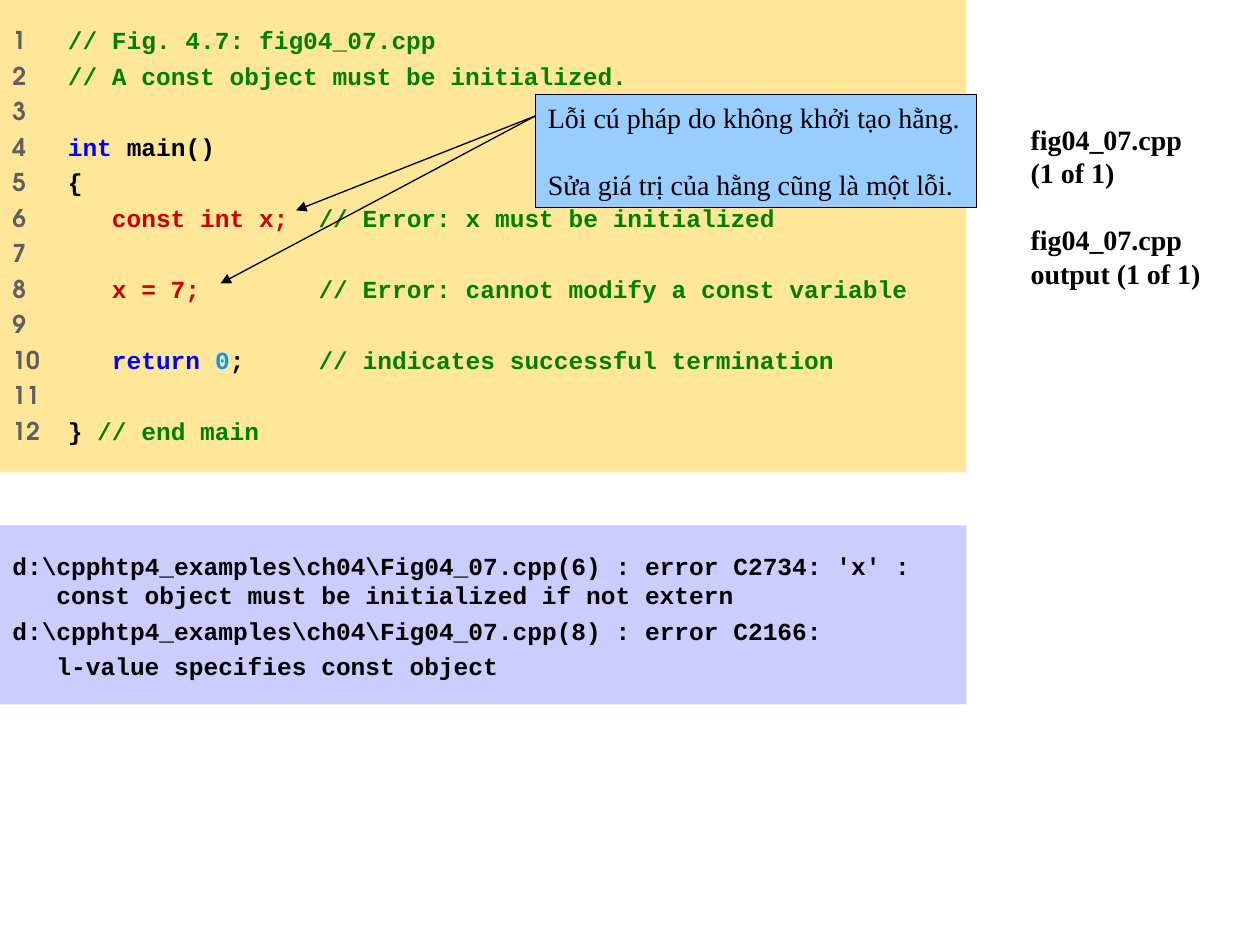
from lxml import etree
from pptx import Presentation
from pptx.dml.color import RGBColor
from pptx.enum.shapes import MSO_CONNECTOR, MSO_SHAPE
from pptx.enum.text import MSO_ANCHOR, MSO_AUTO_SIZE, PP_ALIGN
from pptx.oxml.ns import qn
from pptx.util import Inches, Pt

RECT = MSO_SHAPE.RECTANGLE
STRAIGHT = MSO_CONNECTOR.STRAIGHT
TOP = MSO_ANCHOR.TOP
LEFT = PP_ALIGN.LEFT
NO_AUTOFIT = MSO_AUTO_SIZE.NONE

MONO, SERIF, NUMBER_FONT = "Courier New", "Times New Roman", "TeX Gyre Adventor"
BLACK, GREY, GREEN = "000000", "5F5F5F", "008000"
BLUE, RED, CYAN = "0000FF", "CC0000", "0099FF"

PANEL_WIDTH = 7.67
CODE_TABS = (0.44, 0.79, 2.43)  # code, indented code, comment
OUTPUT_TABS = (0.35,)

# Coloured pieces of each numbered line
CODE = [
    [("\t// Fig. 4.7: fig04_07.cpp", GREEN)],
    [("\t// A const object must be initialized.", GREEN)],
    [],
    [("\tint", BLUE), (" main()", BLACK)],
    [("\t{", BLACK)],
    [("\t\tconst int x;", RED), ("\t// Error: x must be initialized", GREEN)],
    [],
    [("\t\tx = 7;", RED), ("\t// Error: cannot modify a const variable", GREEN)],
    [],
    [("\t\treturn ", BLUE), ("0", CYAN), (";", BLACK),
     ("\t// indicates successful termination", GREEN)],
    [],
    [("\t}", BLACK), (" // end main", GREEN)],
]
OUTPUT = [
    "d:\\cpphtp4_examples\\ch04\\Fig04_07.cpp(6) : error C2734: 'x' :\n"
    "\tconst object must be initialized if not extern",
    "d:\\cpphtp4_examples\\ch04\\Fig04_07.cpp(8) : error C2166:",
    "\tl-value specifies const object",
]
CALLOUT = ["Lỗi cú pháp do không khởi tạo hằng.",
           "Sửa giá trị của hằng cũng là một lỗi."]
HEADINGS = ["fig04_07.cpp\n(1 of 1)", "fig04_07.cpp\noutput (1 of 1)"]


def rgb(value):
    return RGBColor.from_string(value)


def add_text(p, text, font=MONO, size=14, color=BLACK, bold=True):
    """Append formatted text; each newline becomes a line break."""
    for i, line in enumerate(text.split("\n")):
        if i:
            p.add_line_break()
        r = p.add_run()
        r.text = line
        r.font.name = font
        r.font.size = Pt(size)
        r.font.bold = bold
        r.font.color.rgb = rgb(color)


class SlideBuilder:
    def __init__(self, prs):
        self.s = prs.slides.add_slide(prs.slide_layouts[5])

    def frame(self, sp, inset_y=0.05):
        tf = sp.text_frame
        tf.word_wrap = True
        tf.auto_size = NO_AUTOFIT
        tf.vertical_anchor = TOP
        tf.margin_left = tf.margin_right = Inches(0.1)
        tf.margin_top = tf.margin_bottom = Inches(inset_y)
        return tf

    def paragraph(self, tf, first, before=0, tabs=()):
        p = tf.paragraphs[0] if first else tf.add_paragraph()
        p.alignment = LEFT
        p.space_before = Pt(before)
        if tabs:
            tab_list = etree.SubElement(p._p.get_or_add_pPr(), qn("a:tabLst"))
            for pos in tabs:
                etree.SubElement(tab_list, qn("a:tab"),
                                 pos=str(Inches(pos)), algn="l")
        return p

    def title(self, blocks, x, y, w, h):
        sp = self.s.shapes.title
        sp.left, sp.top, sp.width, sp.height = map(Inches, (x, y, w, h))
        self.blocks(self.frame(sp), blocks, bold=True)

    def blocks(self, tf, blocks, bold):
        """Fill a frame with serif blocks, one line height apart."""
        for i, block in enumerate(blocks):
            p = self.paragraph(tf, i == 0, before=19 if i else 0)
            add_text(p, block, font=SERIF, size=16, bold=bold)

    def box(self, x, y, w, h, fill, line=None):
        sp = self.s.shapes.add_shape(RECT, *map(Inches, (x, y, w, h)))
        sp.shadow.inherit = False
        sp.fill.solid()
        sp.fill.fore_color.rgb = rgb(fill)
        if line:
            sp.line.color.rgb = rgb(line)
            sp.line.width = Pt(0.75)
        else:
            sp.line.fill.background()
        return sp

    def code_panel(self, lines, y, h):
        tf = self.frame(self.box(0, y, PANEL_WIDTH, h, "FFE699"), 0.2)
        for number, pieces in enumerate(lines, 1):
            p = self.paragraph(tf, number == 1, 3.5, CODE_TABS)
            add_text(p, str(number), font=NUMBER_FONT, color=GREY)
            for text, color in pieces:
                add_text(p, text, color=color)

    def output_panel(self, lines, y, h):
        tf = self.frame(self.box(0, y, PANEL_WIDTH, h, "CCCCFF"), 0.2)
        for i, line in enumerate(lines):
            add_text(self.paragraph(tf, i == 0, 3.5, OUTPUT_TABS), line)

    def arrow(self, start, end):
        cx = self.s.shapes.add_connector(STRAIGHT, *map(Inches, start + end))
        cx.line.color.rgb = rgb(BLACK)
        cx.line.width = Pt(0.75)
        etree.SubElement(cx.line._get_or_add_ln(), qn("a:tailEnd"), type="triangle")
        etree.SubElement(cx._element.spPr, qn("a:effectLst"))
        return cx

    def callout(self, blocks, x, y, w, h, targets):
        """Add a boxed note with an arrow to each target, grouped."""
        sp = self.box(x, y, w, h, "99CCFF", BLACK)
        self.blocks(self.frame(sp), blocks, bold=False)
        arrows = [self.arrow((x, 0.92), target) for target in targets]
        self.s.shapes.add_group_shape([sp] + arrows)


def main():
    prs = Presentation()
    prs.slide_width, prs.slide_height = Inches(10), Inches(7.5)
    slide = SlideBuilder(prs)
    slide.title(HEADINGS, 8.08, 0.92, 1.92, 5.25)
    slide.code_panel(CODE, 0, 3.75)
    slide.output_panel(OUTPUT, 4.17, 1.42)
    slide.callout(CALLOUT, 4.25, 0.75, 3.5, 0.9, [(2.35, 1.67), (1.75, 2.25)])
    prs.save("out.pptx")


if __name__ == "__main__":
    main()
